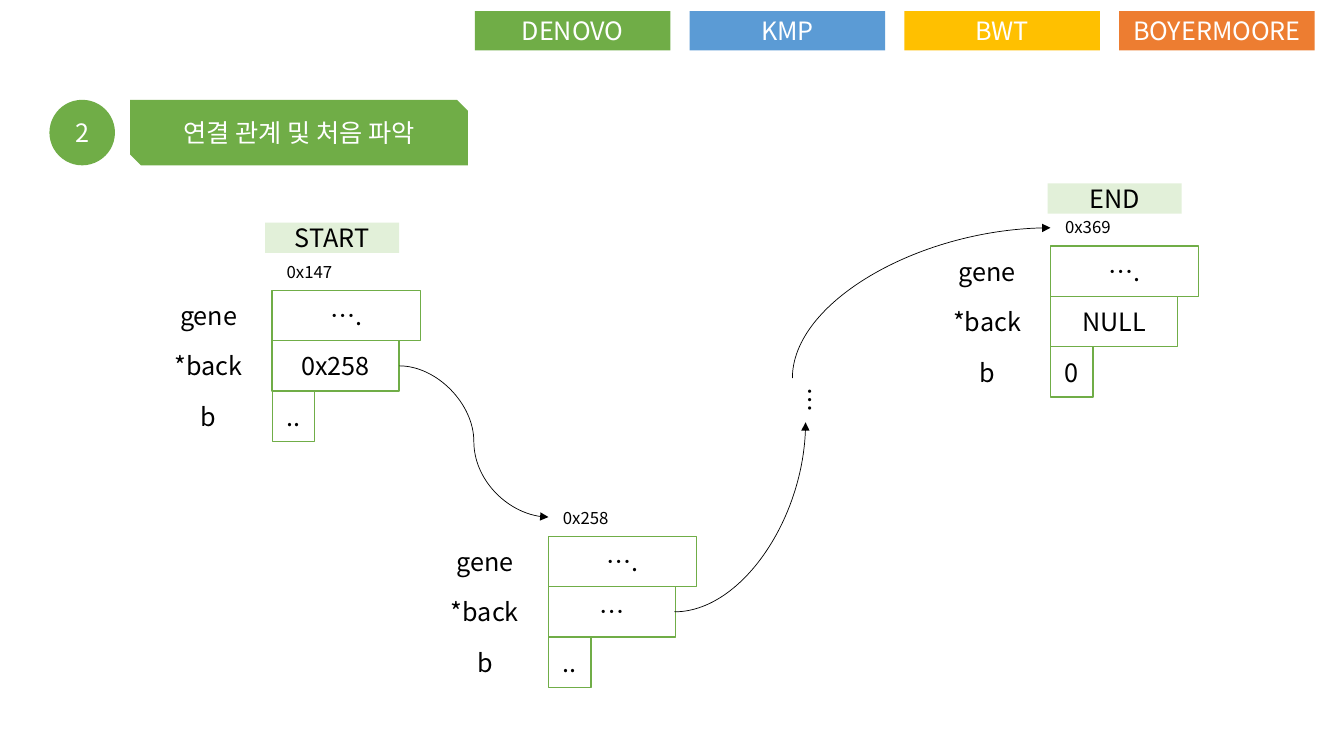
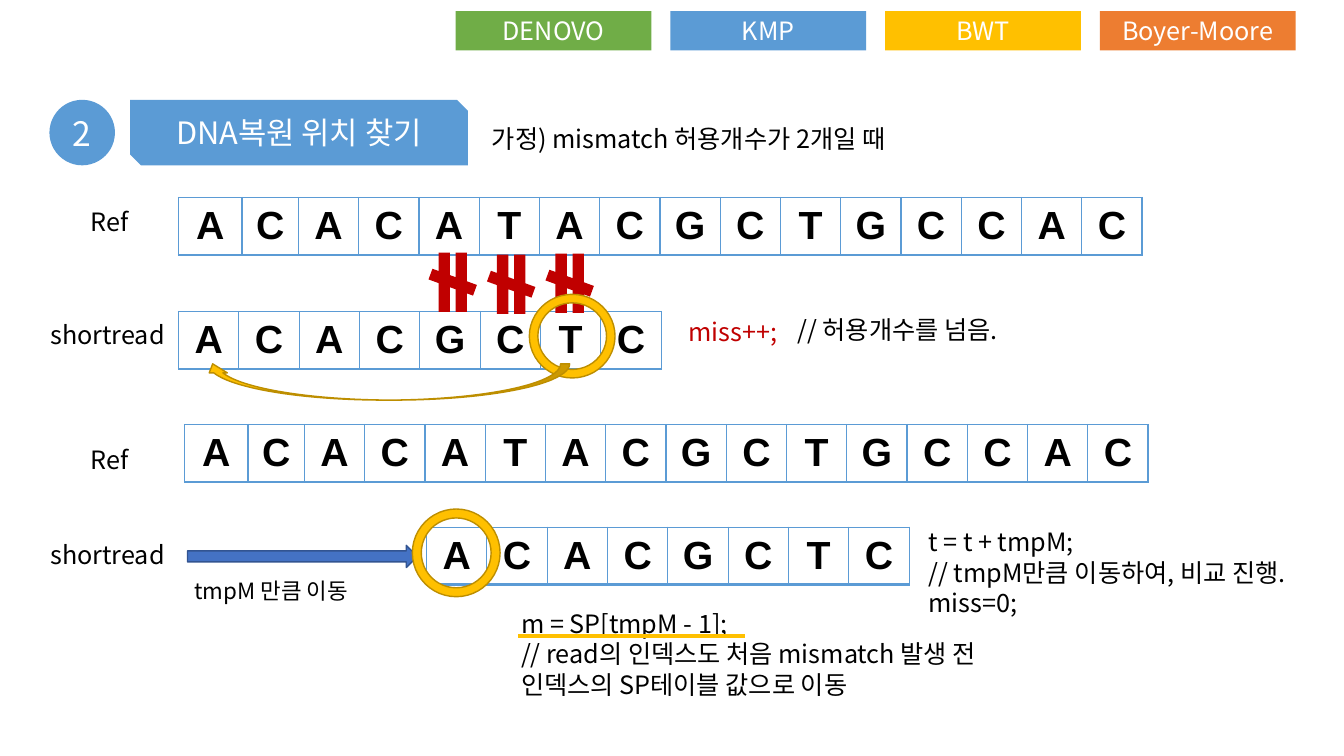
from lxml import etree
from pptx import Presentation
from pptx.dml.color import RGBColor
from pptx.enum.shapes import MSO_CONNECTOR, MSO_SHAPE
from pptx.enum.text import MSO_ANCHOR, MSO_AUTO_SIZE, PP_ALIGN
from pptx.oxml.ns import qn
from pptx.util import Inches, Pt

RECT, OVAL, SNIP = MSO_SHAPE.RECTANGLE, MSO_SHAPE.OVAL, MSO_SHAPE.SNIP_2_DIAG_RECTANGLE
DONUT, NOT_EQUAL = MSO_SHAPE.DONUT, MSO_SHAPE.MATH_NOT_EQUAL
RIGHT_ARROW, UP_ARROW = MSO_SHAPE.RIGHT_ARROW, MSO_SHAPE.CURVED_UP_ARROW
STRAIGHT, CURVE = MSO_CONNECTOR.STRAIGHT, MSO_CONNECTOR.CURVE
TOP, MIDDLE = MSO_ANCHOR.TOP, MSO_ANCHOR.MIDDLE
LEFT, CENTER = PP_ALIGN.LEFT, PP_ALIGN.CENTER
NO_AUTOSIZE = MSO_AUTO_SIZE.NONE

THEME = {
    "font": "Noto Sans CJK KR", "table_font": "Arial",
    "body": 18, "small": 12, "note": 16, "letter": 28, "leading": 1.21,
    "black": "000000", "white": "FFFFFF", "green": "70AD47", "pale": "E2F0D9",
    "blue": "5B9BD5", "gold": "FFC000", "gold_edge": "BD8E00", "orange": "ED7D31",
    "red": "C00000", "arrow": "4472C4", "arrow_edge": "325491",
}

# Content: header tabs and titles
TAB_COLORS = ["green", "blue", "gold", "orange"]
TAB_PITCH, TAB_SIZE = 2.13, (1.94, 0.39)
LINKS = {"tabs": ["DENOVO", "KMP", "BWT", "BOYERMOORE"], "tab_left": 4.71,
         "color": "green", "title": "연결 관계 및 처음 파악", "sizes": (18, 18)}
RESTORE = {"tabs": ["DENOVO", "KMP", "BWT", "Boyer-Moore"], "tab_left": 4.52,
           "color": "blue", "title": "DNA복원 위치 찾기", "sizes": (24, 22)}

# Content: linked nodes (left, top, address, field values)
FIELDS = ["gene", "*back", "b"]
FIELD_WIDTHS, ROW, LABEL_WIDTH = [1.47, 1.26, 0.42], 0.5, 1.26
NODES = [
    (2.7, 2.88, "0x147", ["….", "0x258", ".."]),
    (5.44, 5.32, "0x258", ["….", "…", ".."]),
    (10.42, 2.44, "0x369", ["….", "NULL", "0"]),
]
NODE_TAGS = [("START", 2.63, 2.21), ("END", 10.39, 1.82)]
# Curves: begin, end, preset, end that carries the arrowhead
CURVES = [
    ((3.96, 3.63), (5.44, 5.13), "curvedConnector3", "tailEnd"),
    ((6.69, 6.07), (7.99, 4.19), "curvedConnector2", "tailEnd"),
    ((10.42, 2.26), (7.86, 3.75), "curvedConnector2", "headEnd"),
]

# Content: sequences (letters, left, top, total width, leading column widths)
REF, READ = "ACACATACGCTGCCAC", "ACACGCTC"
SEQUENCES = [
    (REF, 1.77, 1.96, 9.56, [0.63, 0.56]),
    (READ, 1.77, 3.09, 4.79, []),
    (REF, 1.83, 4.21, 9.56, [0.63, 0.56]),
    (READ, 4.23, 5.23, 4.79, []),
]
SEQ_HEIGHT = 0.57
NOTES = [  # box, paragraphs, format
    ((0.8, 1.99, 0.65, 0.4), ["Ref"], {}),
    ((0.4, 3.12, 1.37, 0.4), ["shortread"], {}),
    ((0.8, 4.36, 0.65, 0.4), ["Ref"], {}),
    ((0.4, 5.3, 1.37, 0.4), ["shortread"], {}),
    ((4.78, 1.17, 4.7, 0.4), ["가정) mismatch 허용개수가 2개일 때"], {}),
    ((6.73, 3.09, 1.08, 0.4), ["miss++;"], {"color": "red"}),
    ((7.81, 3.07, 5.2, 0.4), ["// 허용개수를 넘음."], {}),
    ((1.83, 5.67, 2.33, 0.37), ["tmpM 만큼 이동"], {"size": THEME["note"]}),
    ((9.11, 5.17, 4.09, 1.01),
     ["t = t + tmpM;", "// tmpM만큼 이동하여, 비교 진행.", "miss=0;"], {}),
    ((5.07, 5.98, 5.23, 1.01),
     ["m = SP[tmpM - 1];",
      "// read의 인덱스도 처음 mismatch 발생 전 인덱스의 SP테이블 값으로 이동"], {}),
]
MISMATCHES = [(4.09, 2.56), (4.67, 2.58), (5.25, 2.57)]
RINGS = [(5.25, 2.92, 0.85, 0.83), (4.09, 5.05, 0.87, 0.87)]


def rgb(name):
    return RGBColor.from_string(THEME[name])


def inches(values):
    return [Inches(v) for v in values]


def write(tf, lines, size=THEME["body"], color="black", align=CENTER, anchor=MIDDLE,
          font=THEME["font"], bold=False, leading=None):
    tf.word_wrap, tf.vertical_anchor = True, anchor
    for i, line in enumerate(lines):
        p = tf.add_paragraph() if i else tf.paragraphs[0]
        p.alignment = align
        if leading:
            p.line_spacing = Pt(round(size * leading, 1))
        r = p.add_run()
        r.text = line
        formats = {"name": font, "size": Pt(size), "bold": bold}
        for key, value in formats.items():
            setattr(r.font, key, value)
        r.font.color.rgb = rgb(color)
        etree.SubElement(r.font._element, qn("a:ea"), typeface=font)


def add_box(s, kind, box, fill=None, edge=None, lines=(), **text):
    sp = s.shapes.add_shape(kind, *inches(box))
    sp.shadow.inherit = False
    if fill:
        sp.fill.solid()
        sp.fill.fore_color.rgb = rgb(fill)
    else:
        sp.fill.background()
    if edge:
        sp.line.color.rgb, sp.line.width = rgb(edge), Pt(1)
    else:
        sp.line.fill.background()
    write(sp.text_frame, lines, **text)
    return sp


def add_text(s, box, lines, **text):
    tb = s.shapes.add_textbox(*inches(box))
    write(tb.text_frame, lines, **text)
    return tb


def add_line(s, kind, begin, end, color, width):
    cx = s.shapes.add_connector(kind, *inches(begin + end))
    cx.line.color.rgb, cx.line.width = rgb(color), Pt(width)
    etree.SubElement(cx._element.spPr, qn("a:effectLst"))
    return cx


def add_curve(s, begin, end, preset, arrow_end):
    cx = add_line(s, CURVE, begin, end, "black", 0.5)
    cx._element.spPr.find(qn("a:prstGeom")).set("prst", preset)
    etree.SubElement(cx.line._get_or_add_ln(), qn("a:" + arrow_end), type="triangle")


def add_node(s, left, top, address, values):
    add_text(s, (left, top - 0.37, 0.74, 0.37), [address], size=THEME["small"])
    for i, (field, value, width) in enumerate(zip(FIELDS, values, FIELD_WIDTHS)):
        y = top + i * ROW
        add_box(s, RECT, (left - LABEL_WIDTH, y, LABEL_WIDTH, ROW), lines=[field])
        add_box(s, RECT, (left, y, width, ROW), "white", "green", [value])


def set_borders(cell):
    tcPr = cell._tc.get_or_add_tcPr()
    for i, (side, width) in enumerate([("L", 1), ("R", 1), ("T", 1), ("B", 2)]):
        ln = etree.Element(qn("a:ln" + side), w=str(Pt(width)))
        fill = etree.SubElement(ln, qn("a:solidFill"))
        etree.SubElement(fill, qn("a:srgbClr"), val=THEME["blue"])
        tcPr.insert(i, ln)


def add_sequence(s, letters, left, top, width, first_widths):
    frame = s.shapes.add_table(1, len(letters), *inches((left, top, width, SEQ_HEIGHT)))
    table = frame.table
    table.first_row = table.horz_banding = False
    rest = len(letters) - len(first_widths)
    widths = first_widths + [(width - sum(first_widths)) / rest] * rest
    for i, (letter, column_width) in enumerate(zip(letters, widths)):
        table.columns[i].width = Inches(column_width)
        cell = table.cell(0, i)
        cell.fill.background()
        set_borders(cell)
        write(cell.text_frame, [letter], size=THEME["letter"],
              font=THEME["table_font"], bold=True)
        cell.vertical_anchor = MIDDLE


def new_slide(prs, head):
    s = prs.slides.add_slide(prs.slide_layouts[5])
    badge_size, title_size = head["sizes"]
    title_box = (1.29, 0.99, 3.35, 0.65)
    add_box(s, OVAL, (0.49, 0.99, 0.65, 0.65), head["color"], lines=["2"],
            size=badge_size, color="white")
    add_box(s, SNIP, title_box, head["color"])
    # Title sits above its banner
    title = s.shapes.title
    s.shapes._spTree.append(title._element)
    for key, value in zip(("left", "top", "width", "height"), inches(title_box)):
        setattr(title, key, value)
    title.text_frame.auto_size = NO_AUTOSIZE
    write(title.text_frame, [head["title"]], size=title_size, color="white")
    # Header tabs
    for i, (name, color) in enumerate(zip(head["tabs"], TAB_COLORS)):
        add_box(s, RECT, (head["tab_left"] + i * TAB_PITCH, 0.11, *TAB_SIZE), color,
                lines=[name], color="white")
    return s


def build_links(prs):
    s = new_slide(prs, LINKS)
    for node in NODES:
        add_node(s, *node)
    for name, left, top in NODE_TAGS:
        add_box(s, RECT, (left, top, 1.33, 0.3), "pale", lines=[name])
    for curve in CURVES:
        add_curve(s, *curve)
    dots = add_text(s, (7.74, 3.75, 0.5, 0.44), ["…"], anchor=TOP)
    dots.text_frame._txBody.bodyPr.set("vert", "eaVert")


def build_restore(prs):
    s = new_slide(prs, RESTORE)
    for box, lines, extra in NOTES:
        add_text(s, box, lines, align=LEFT, anchor=TOP, leading=THEME["leading"], **extra)
    add_box(s, RIGHT_ARROW, (1.86, 5.41, 2.28, 0.22), "arrow", "arrow_edge")
    for sequence in SEQUENCES:
        add_sequence(s, *sequence)
    # Marks over the sequences
    for left, top in MISMATCHES:
        add_box(s, NOT_EQUAL, (left, top, 0.8, 0.48), "red").rotation = 90
    for ring in RINGS:
        add_box(s, DONUT, ring, "gold", "gold_edge").adjustments[0] = 0.102
    back = add_box(s, UP_ARROW, (2.02, 3.61, 3.63, 0.36), "gold", "gold_edge")
    back._element.spPr.find(qn("a:xfrm")).set("flipH", "1")
    add_line(s, STRAIGHT, (5.14, 6.31), (7.39, 6.31), "gold", 3)


def main():
    prs = Presentation()
    prs.slide_width, prs.slide_height = Inches(13.33), Inches(7.5)
    build_links(prs)
    build_restore(prs)
    prs.save("out.pptx")


if __name__ == "__main__":
    main()
